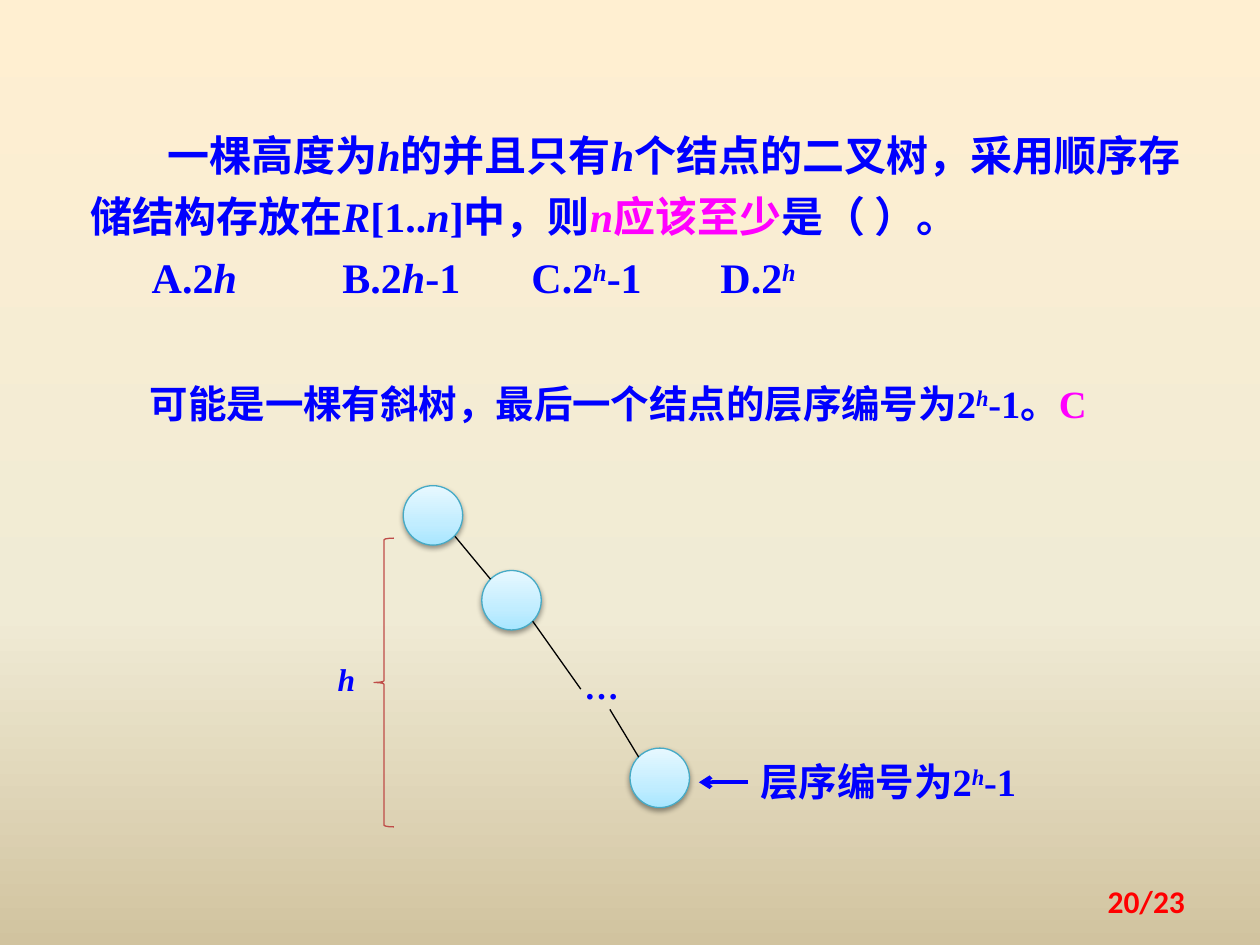
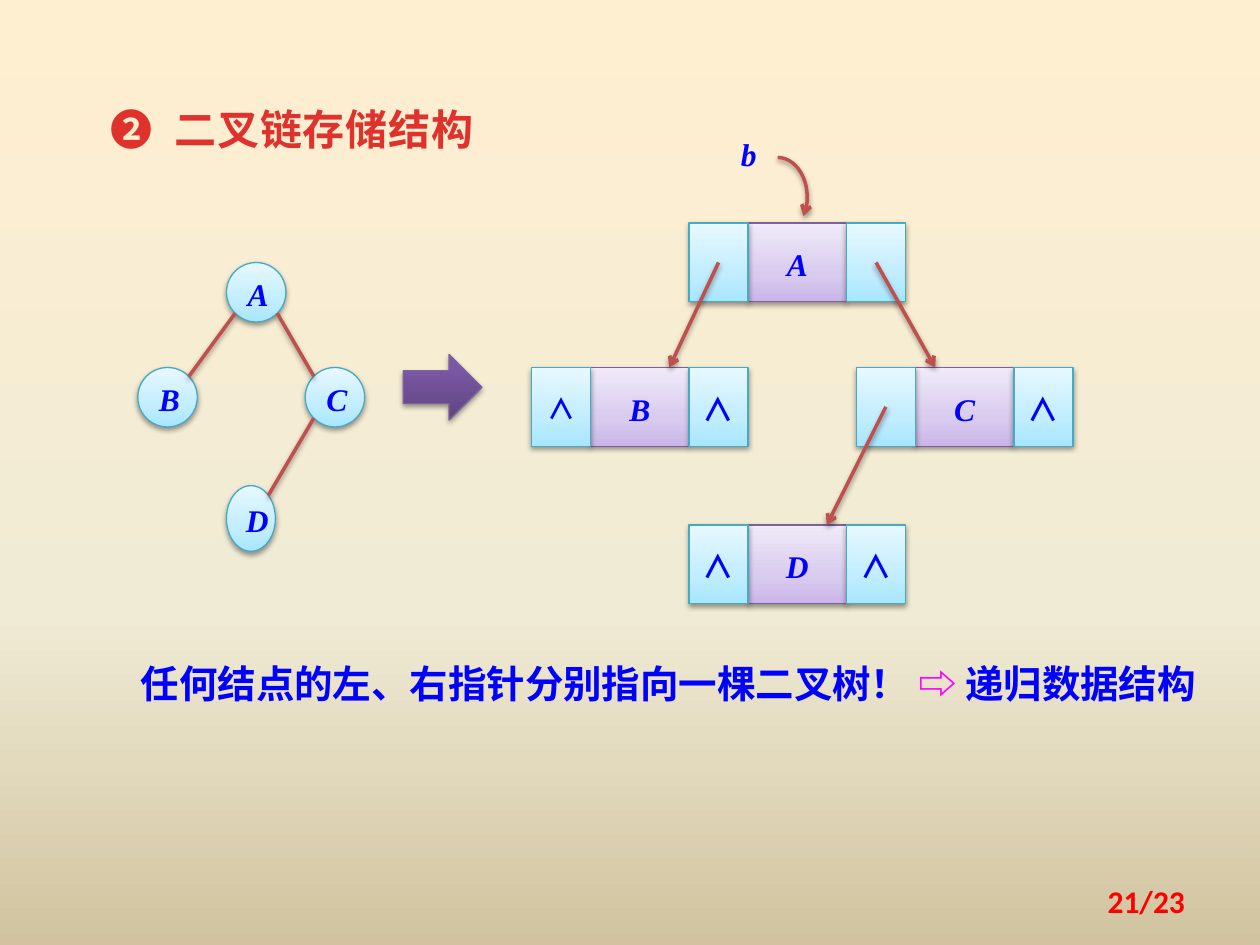
from copy import deepcopy

from lxml import etree
from pptx import Presentation
from pptx import util as u
from pptx.dml import color
from pptx.enum import shapes, text
from pptx.oxml import ns

Pt = u.Pt
BLUE, MAGENTA, RED, HEADING = "0000FF", "FF00FF", "FF0000", "E0322D"
BLACK, RUST, BRACE = "000000", "C0504D", "BF4C48"
TEAL, PURPLE = "46AAC5", "7D60A0"
CYAN_FILL = [(0, "A7E6FF"), (0.35, "C1EDFF"), (1, "E7F8FF")]
LILAC_FILL = [(0, "C9B5E8"), (0.35, "D8CBEE"), (1, "F0EAF9")]
ARROW_FILL = [(0, "5F4480"), (0.8, "7B58A6"), (1, "7C57A8")]
PAGE_FILL = [(0, "FFEFD1"), (0.65, "F0EBD5"), (1, "D1C39F")]
SERIF, CJK, SANS = "Times New Roman", "Noto Sans CJK SC", "Calibri"


def paint(fill, colours, owner=None, angle=90):
    """Fill with one hex colour, or with a gradient of three (position, hex) stops."""
    if isinstance(colours, str):
        fill.solid()
        fill.fore_color.rgb = color.RGBColor.from_string(colours)
        return
    fill.gradient()
    fill.gradient_angle = angle
    stops = owner.find(".//" + ns.qn("a:gsLst"))
    stops.append(deepcopy(stops[-1]))
    for stop, (position, colour) in zip(fill.gradient_stops, colours):
        stop.position = position
        stop.color.rgb = color.RGBColor.from_string(colour)


def write(box, paragraphs, size=18, font=SERIF, colour=BLUE, spacing=None, indents=(),
          align=None, anchor=None, tracking=0):
    """Write paragraphs of (text, style) spans; i italic, ^ superscript, m magenta."""
    frame = box.text_frame
    frame.word_wrap = True
    if anchor is not None:
        frame.vertical_anchor = anchor
    for number, spans in enumerate(paragraphs):
        para = frame.add_paragraph() if number else frame.paragraphs[0]
        para.line_spacing = spacing
        para.alignment = align
        if indents:
            para._p.get_or_add_pPr().set("indent", str(Pt(indents[number])))
        for words, style in spans:
            span = para.add_run()
            span.text = words
            span.font.size = Pt(size)
            span.font.name = font
            span.font.bold = True
            span.font.italic = "i" in style
            paint(span.font.fill, MAGENTA if "m" in style else colour)
            props = span._r.get_or_add_rPr()
            etree.SubElement(props, ns.qn("a:ea")).set("typeface", CJK)
            if "^" in style:
                props.set("baseline", "30000")
            if tracking:
                props.set("spc", str(tracking))


deck = Presentation()
deck.slide_width, deck.slide_height = Pt(720), Pt(540)
quiz, linked = [deck.slides.add_slide(deck.slide_layouts[6]) for _ in range(2)]
for page in (quiz, linked):
    paint(page.background.fill, PAGE_FILL, page.element, angle=270)

# Shapes: page, kind, place, fill, outline, outline width, label
kinds = shapes.MSO_SHAPE
figures = []
for left, top in [(230.4, 277.5), (275.3, 326), (360, 427.5)]:
    figures.append((quiz, kinds.OVAL, (left, top, 34, 34), CYAN_FILL, TEAL, 0.75, ""))
figures.append((quiz, kinds.LEFT_BRACE, (213.8, 307.5, 11.3, 165), None, BRACE, 0.75, ""))

for name, left, top, width, height in [("B", 78.75, 210, 34, 34), ("A", 129.4, 150, 34, 34),
                                       ("C", 174.4, 210, 34, 34), ("D", 129.4, 277.5, 28, 37.5)]:
    figures.append((linked, kinds.OVAL, (left, top, width, height),
                    CYAN_FILL, TEAL, 0.75, name))

POINTER, DATA, CELL = 33.75, 56.25, 45
for name, left, top, left_mark, right_mark in [
        ("A", 393.75, 127.5, "", ""), ("B", 303.75, 210, "∧", "∧"),
        ("C", 489.4, 210, "", "∧"), ("D", 393.75, 300, "∧", "∧")]:
    data_left = left + POINTER
    figures.append((linked, kinds.RECTANGLE, (data_left, top, DATA, CELL),
                    LILAC_FILL, PURPLE, 0.75, name))
    for cell_left, mark in [(data_left + DATA, right_mark), (left, left_mark)]:
        figures.append((linked, kinds.RECTANGLE, (cell_left, top, POINTER, CELL),
                        CYAN_FILL, TEAL, 0.75, mark))
figures.append((linked, kinds.ARC, (427.5, 90, 33.75, 45), None, RUST, 2, ""))
figures.append((linked, kinds.RIGHT_ARROW, (230.4, 202.5, 45, 37.5),
                ARROW_FILL, PURPLE, 0.75, ""))

shadowed, flat, arrows = [], [], []
for page, kind, place, fill, outline, weight, label in figures:
    shape = page.shapes.add_shape(kind, *map(Pt, place))
    if fill:
        paint(shape.fill, fill, shape.element)
    else:
        shape.fill.background()
    paint(shape.line.fill, outline)
    shape.line.width = Pt(weight)
    if kind == kinds.ARC:
        shape.adjustments[0], shape.adjustments[1] = 162, 21.94
        arrows.append(shape)
    if label:
        is_mark = label == "∧"
        small = is_mark and place[0] == 303.75
        write(shape, [[(label, "" if is_mark else "i")]], size=16 if small else 18,
              font=CJK if is_mark else SERIF, spacing=1.1,
              align=text.PP_ALIGN.CENTER, anchor=text.MSO_ANCHOR.MIDDLE)
    (flat if kind == kinds.LEFT_BRACE else shadowed).append(shape)

# Lines: page, start and end, colour, width, has an arrowhead
links = [
    (quiz, (260, 306.5, 280.3, 331), BLACK, 0.75, False),
    (quiz, (304.4, 355, 331.9, 393.8), BLACK, 0.75, False),
    (quiz, (348.5, 405.4, 365, 432.7), BLACK, 0.75, False),
    (quiz, (427.5, 447, 399.4, 447), BLUE, 2.25, True),
    (linked, (134.4, 179, 108, 215), RUST, 2, False),
    (linked, (158.4, 179, 179.3, 215), RUST, 2, False),
    (linked, (179.3, 239, 153.4, 283), RUST, 2, False),
    (linked, (410.6, 150, 382.5, 210), RUST, 2, True),
    (linked, (500.6, 150, 534.4, 210), RUST, 2, True),
    (linked, (506.2, 232.5, 472.5, 300), RUST, 2, True),
]
for page, ends, colour, weight, has_head in links:
    link = page.shapes.add_connector(shapes.MSO_CONNECTOR.STRAIGHT, *map(Pt, ends))
    paint(link.line.fill, colour)
    link.line.width = Pt(weight)
    if has_head:
        arrows.append(link)
    (shadowed if colour == RUST else flat).append(link)

for shape in arrows:
    outline = shape.element.spPr.find(ns.qn("a:ln"))
    etree.SubElement(outline, ns.qn("a:tailEnd")).set("type", "arrow")
for shape in shadowed + flat:
    effects = etree.SubElement(shape.element.spPr, ns.qn("a:effectLst"))
    if shape in shadowed:
        shadow = etree.SubElement(effects, ns.qn("a:outerShdw"), blurRad=str(Pt(3.1)),
                                  dist=str(Pt(1.6)), dir="5400000", rotWithShape="0")
        tint = etree.SubElement(shadow, ns.qn("a:srgbClr"), val=BLACK)
        etree.SubElement(tint, ns.qn("a:alpha"), val="38000")

# Text: page, place, paragraphs, format
question = [
    [("一棵高度为", ""), ("h", "i"), ("的并且只有", ""), ("h", "i"),
     ("个结点的二叉树，采用顺序存储结构存放在", ""), ("R", "i"), ("[1..", ""), ("n", "i"),
     ("]中，则", ""), ("n", "im"), ("应该至少", "m"), ("是（ ）。", "")],
    [("A.2", ""), ("h", "i"), ("\t\tB.2", ""), ("h", "i"), ("-1\t\tC.2", ""), ("h", "i^"),
     ("-1\t\tD.2", ""), ("h", "i^")],
]
answer = [[("可能是一棵有斜树，最后一个结点的层序编号为2", ""), ("h", "i^"),
           ("-1。", ""), ("C", "m")]]
last_number = [[("层序编号为2", ""), ("h", "i^"), ("-1", "")]]
conclusion = [[("任何结点的左、右指针分别指向一棵二叉树！ ", ""), ("⇨", "m"),
               (" 递归数据结构", "")]]
body = dict(size=22, spacing=Pt(30))
tag = dict(spacing=Pt(20))
footer = dict(font=SANS, colour=RED, align=text.PP_ALIGN.RIGHT,
              anchor=text.MSO_ANCHOR.MIDDLE)
texts = [
    (quiz, (44.6, 64, 641.5, 110), question,
     dict(size=24, spacing=Pt(35), indents=(44, 35))),
    (quiz, (78.5, 210, 579.6, 37.5), answer, body),
    (quiz, (326.9, 386.6, 39.6, 27.4), [[("…", "")]], dict(size=20, font=CJK, **tag)),
    (quiz, (427.5, 426.2, 163.4, 35.3), last_number, body),
    (quiz, (185.8, 375, 39.6, 27.4), [[("h", "i")]], tag),
    (linked, (56.2, 52.5, 258.5, 36.7), [[("❷  二叉链存储结构", "")]],
     dict(size=24, colour=HEADING, spacing=1.1, tracking=50)),
    (linked, (416.2, 75, 39.6, 27.4), [[("b", "i")]], tag),
    (linked, (73.4, 370, 624.2, 37.5), conclusion, body),
]
for number, page in enumerate((quiz, linked), start=20):
    texts.append((page, (516.2, 500.4, 168, 28.8), [[(f"{number}/23", "")]], footer))
for page, place, paragraphs, look in texts:
    write(page.shapes.add_textbox(*map(Pt, place)), paragraphs, **look)

deck.save("out.pptx")
